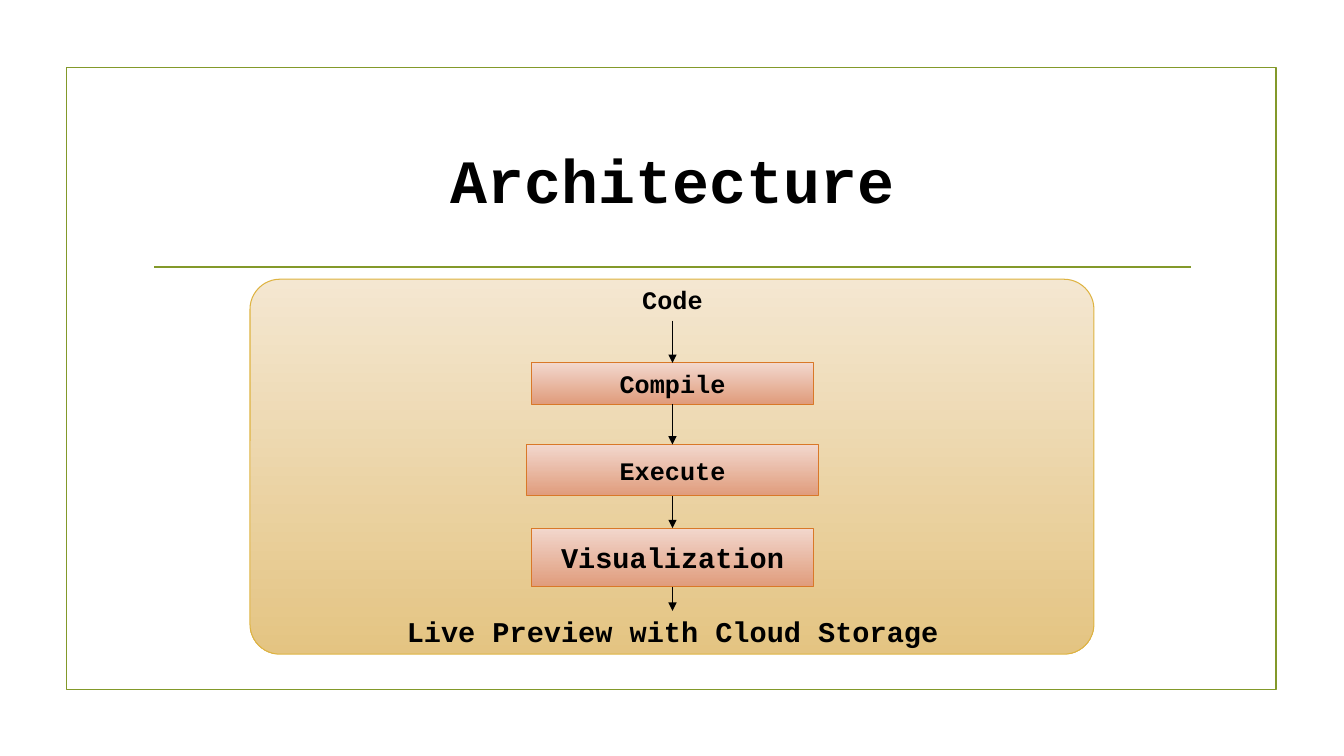
from dataclasses import dataclass
from itertools import pairwise

from lxml import etree
from pptx import Presentation
from pptx import util as u
from pptx.dml.color import RGBColor
from pptx.enum import shapes, text
from pptx.oxml.ns import qn
from pptx.shapes.autoshape import Shape
from pptx.shapes.connector import Connector
from pptx.slide import Slide


@dataclass(frozen=True)
class Theme:
    font: str = "Courier New"
    ink: str = "000000"
    accent: str = "83992A"
    panel_top: str = "F4E7D1"
    panel_bottom: str = "E4C482"
    panel_line: str = "DEB340"
    box_top: str = "F2D7CD"
    box_bottom: str = "E09C7C"
    box_line: str = "D97828"
    title_size: float = 44
    step_size: float = 18
    large_size: float = 20.4
    rule_width: float = 1.25
    edge_width: float = 0.75


@dataclass(frozen=True)
class Step:
    label: str
    top: float
    width: float
    height: float
    size: float
    boxed: bool = True


THEME = Theme()
SLIDE_WIDTH, SLIDE_HEIGHT = 13.33, 7.5
CENTER = 6.67

STEPS = [
    Step("Code", 2.77, 4.2, 0.41, THEME.step_size, boxed=False),
    Step("Compile", 3.6, 2.8, 0.41, THEME.step_size),
    Step("Execute", 4.41, 2.89, 0.51, THEME.step_size),
    Step("Visualization", 5.24, 2.8, 0.58, THEME.large_size),
    Step("Live Preview with Cloud Storage", 6.06, 6.3, 0.41, THEME.large_size, boxed=False),
]


def rgb(color: str) -> RGBColor:
    return RGBColor.from_string(color)


def set_text(sp: Shape, content: str, size: float) -> None:
    tf = sp.text_frame
    tf.text = content
    tf.word_wrap = True
    tf.vertical_anchor = text.MSO_ANCHOR.MIDDLE
    p = tf.paragraphs[0]
    p.alignment = text.PP_ALIGN.CENTER
    font = p.runs[0].font
    font.name, font.size, font.bold = THEME.font, u.Pt(size), True
    font.color.rgb = rgb(THEME.ink)


def add_outline(s: Slide, kind: shapes.MSO_SHAPE, left: float, top: float,
                width: float, height: float, color: str, weight: float) -> Shape:
    sp = s.shapes.add_shape(kind, u.Inches(left), u.Inches(top),
                            u.Inches(width), u.Inches(height))
    sp.shadow.inherit = False
    sp.fill.background()
    sp.line.color.rgb = rgb(color)
    sp.line.width = u.Pt(weight)
    return sp


def fill_downward(sp: Shape, top_color: str, bottom_color: str) -> None:
    sp.fill.gradient()
    sp.fill.gradient_angle = 270
    for stop, position, color in zip(sp.fill.gradient_stops, (0, 1), (top_color, bottom_color)):
        stop.position = position
        stop.color.rgb = rgb(color)


def add_line(s: Slide, x1: float, y1: float, x2: float, y2: float, color: str) -> Connector:
    line = s.shapes.add_connector(shapes.MSO_CONNECTOR.STRAIGHT, u.Inches(x1), u.Inches(y1),
                                  u.Inches(x2), u.Inches(y2))
    line.line.color.rgb = rgb(color)
    line.line.width = u.Pt(THEME.rule_width)
    etree.SubElement(line._element.spPr, qn("a:effectLst"))
    return line


def add_arrow(s: Slide, start: Step, end: Step) -> None:
    arrow = add_line(s, CENTER, start.top + start.height, CENTER, end.top, THEME.ink)
    etree.SubElement(arrow.line._get_or_add_ln(), qn("a:tailEnd"), type="triangle")


def add_step(s: Slide, step: Step) -> None:
    left = CENTER - step.width / 2
    if step.boxed:
        sp = add_outline(s, shapes.MSO_SHAPE.RECTANGLE, left, step.top, step.width,
                         step.height, THEME.box_line, THEME.edge_width)
        fill_downward(sp, THEME.box_top, THEME.box_bottom)
    else:
        sp = s.shapes.add_textbox(u.Inches(left), u.Inches(step.top),
                                  u.Inches(step.width), u.Inches(step.height))
    set_text(sp, step.label, step.size)


def main() -> None:
    prs = Presentation()
    prs.slide_width, prs.slide_height = u.Inches(SLIDE_WIDTH), u.Inches(SLIDE_HEIGHT)
    s = prs.slides.add_slide(prs.slide_layouts[5])

    # Frame and title
    add_outline(s, shapes.MSO_SHAPE.RECTANGLE, 0.66, 0.67, 12, 6.17,
                THEME.accent, THEME.rule_width)
    add_line(s, 1.53, 2.65, 11.81, 2.65, THEME.accent)
    title = s.shapes.title
    title.left, title.top = u.Inches(1.42), u.Inches(1.07)
    title.width, title.height = u.Inches(10.5), u.Inches(1.4)
    set_text(title, "Architecture", THEME.title_size)

    # Panel behind the flow
    panel = add_outline(s, shapes.MSO_SHAPE.ROUNDED_RECTANGLE, 2.48, 2.77, 8.37, 3.72,
                        THEME.panel_line, THEME.edge_width)
    panel.adjustments[0] = 0.08
    fill_downward(panel, THEME.panel_top, THEME.panel_bottom)

    # Flow from code to preview
    for step in STEPS:
        add_step(s, step)
    for start, end in pairwise(STEPS):
        add_arrow(s, start, end)

    prs.save("out.pptx")


if __name__ == "__main__":
    main()
